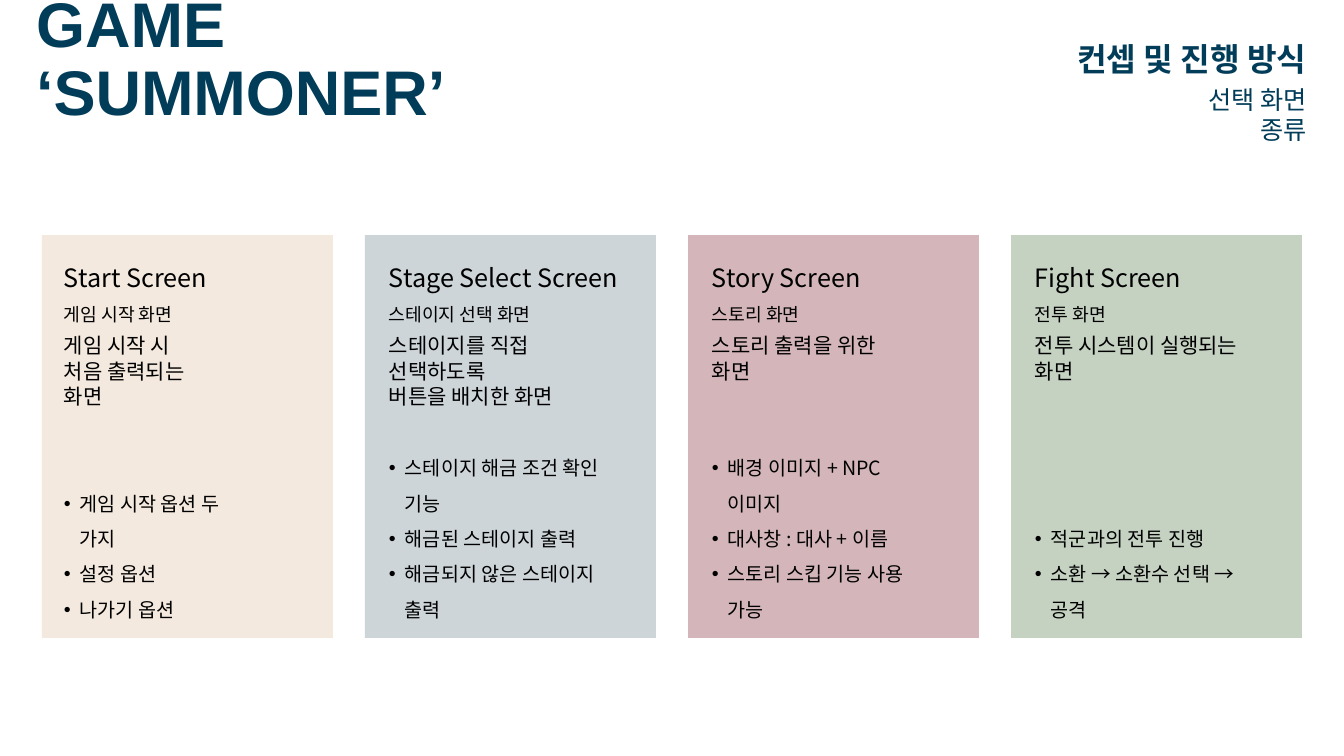
from dataclasses import dataclass

from lxml.etree import SubElement
from pptx import Presentation
from pptx.dml.color import RGBColor as RGB
from pptx.enum.shapes import MSO_SHAPE as Shape
from pptx.enum.text import MSO_ANCHOR as Anchor
from pptx.enum.text import MSO_AUTO_SIZE as Fit
from pptx.enum.text import PP_ALIGN as Align
from pptx.oxml.ns import qn
from pptx.util import Emu, Pt

PX = 914400 / 100.8


@dataclass(frozen=True)
class Theme:
    latin: str = "Arial"
    korean: str = "Noto Sans CJK KR"
    navy: str = "013C59"
    black: str = "000000"
    title: int = 45
    topic: int = 23
    head: int = 18
    label: int = 13
    body: int = 15
    item: int = 14


@dataclass(frozen=True)
class Box:
    x: int
    y: int
    w: int
    h: int


@dataclass(frozen=True)
class Style:
    size: int
    color: str
    font: str
    bold: bool = False
    space: float = 1.0
    align: Align = Align.LEFT
    bullet: bool = False


@dataclass(frozen=True)
class Card:
    fill: str
    inset: int
    head: str
    label: str
    about: list[str]
    about_w: int
    items: list[str]
    items_w: int


T = Theme()
TITLE = Style(T.title, T.navy, T.latin, bold=True, space=0.9)
TOPIC = Style(T.topic, T.navy, T.korean, bold=True, space=0.9, align=Align.RIGHT)
KIND = Style(T.head, T.navy, T.korean, align=Align.RIGHT)
HEAD = Style(T.head, T.black, T.korean, space=1.5)
LABEL = Style(T.label, T.black, T.korean, space=1.5)
ABOUT = Style(T.body, T.black, T.korean)
ITEM = Style(T.item, T.black, T.korean, space=1.5, bullet=True)

FIRST, TOP, WIDE, TALL, STEP = 42, 235, 291, 403, 323
CARDS = [
    Card("F3E9DE", 12, "Start Screen", "게임 시작 화면",
         ["게임 시작 시", "처음 출력되는 화면"], 177,
         ["게임 시작 옵션 두 가지", "설정 옵션", "나가기 옵션"], 210),
    Card("CDD5D9", 14, "Stage Select Screen", "스테이지 선택 화면",
         ["스테이지를 직접 선택하도록", "버튼을 배치한 화면"], 251,
         ["스테이지 해금 조건 확인 기능", "해금된 스테이지 출력",
          "해금되지 않은 스테이지 출력"], 261),
    Card("D4B6BA", 14, "Story Screen", "스토리 화면",
         ["스토리 출력을 위한 화면"], 220,
         ["배경 이미지 + NPC 이미지", "대사창 : 대사 + 이름",
          "스토리 스킵 기능 사용 가능"], 244),
    Card("C5D2C2", 14, "Fight Screen", "전투 화면",
         ["전투 시스템이 실행되는 화면"], 256,
         ["적군과의 전투 진행", "소환 → 소환수 선택 → 공격"], 251),
]


def emu(px: int) -> Emu:
    return Emu(round(px * PX))


def place(shape, box: Box) -> None:
    shape.left, shape.top = emu(box.x), emu(box.y)
    shape.width, shape.height = emu(box.w), emu(box.h)


def mark(para, bullet: bool) -> None:
    """Set a hanging bullet, or clear an inherited one."""
    props = para._p.get_or_add_pPr()
    hang = emu(16) if bullet else 0
    props.set("marL", str(hang))
    props.set("indent", str(-hang))
    if bullet:
        SubElement(props, qn("a:buFont"), typeface="Arial")
        SubElement(props, qn("a:buChar"), char="•")
    else:
        SubElement(props, qn("a:buNone"))


def write(shape, lines: list[tuple[str, Style]], anchor: Anchor = Anchor.TOP) -> None:
    frame = shape.text_frame
    frame.text = "\n".join(text for text, _ in lines)
    frame.word_wrap = True
    frame.auto_size = Fit.NONE
    frame.vertical_anchor = anchor
    for para, (_, style) in zip(frame.paragraphs, lines):
        mark(para, style.bullet)
        para.alignment = style.align
        para.line_spacing = style.space
        para.space_before = Pt(0)
        for run in para.runs:
            font = run.font
            font.size, font.bold = Pt(style.size), style.bold
            font.color.rgb = RGB.from_string(style.color)
            font.name = style.font
            SubElement(run._r.get_or_add_rPr(), qn("a:ea"), typeface=style.font)


def add_text(slide, box: Box, lines: list[tuple[str, Style]],
             anchor: Anchor = Anchor.TOP) -> None:
    shape = slide.shapes.add_textbox(0, 0, 0, 0)
    place(shape, box)
    write(shape, lines, anchor)


def add_card(slide, card: Card, x: int) -> None:
    panel = slide.shapes.add_shape(Shape.RECTANGLE, 0, 0, 0, 0)
    place(panel, Box(x, TOP, WIDE, TALL))
    panel.shadow.inherit = False
    panel.fill.solid()
    panel.fill.fore_color.rgb = RGB.from_string(card.fill)
    panel.line.fill.background()
    left = x + card.inset
    add_text(slide, Box(left, 242, 262, 86),
             [(card.head, HEAD), (card.label, LABEL)])
    add_text(slide, Box(left, 328, card.about_w, 90),
             [(line, ABOUT) for line in card.about])
    add_text(slide, Box(left, 436, card.items_w, 190),
             [(item, ITEM) for item in card.items], Anchor.BOTTOM)


def main() -> None:
    deck = Presentation()
    deck.slide_width, deck.slide_height = emu(1344), emu(756)
    slide = deck.slides.add_slide(deck.slide_layouts[1])
    title, topic = slide.placeholders
    place(title, Box(26, 23, 512, 76))
    write(title, [("GAME ‘SUMMONER’", TITLE)], Anchor.MIDDLE)
    place(topic, Box(805, 23, 512, 76))
    write(topic, [("컨셉 및 진행 방식", TOPIC)], Anchor.MIDDLE)
    add_text(slide, Box(1153, 79, 164, 70), [("선택 화면 종류", KIND)])
    for i, card in enumerate(CARDS):
        add_card(slide, card, FIRST + i * STEP)
    deck.save("out.pptx")


if __name__ == "__main__":
    main()
